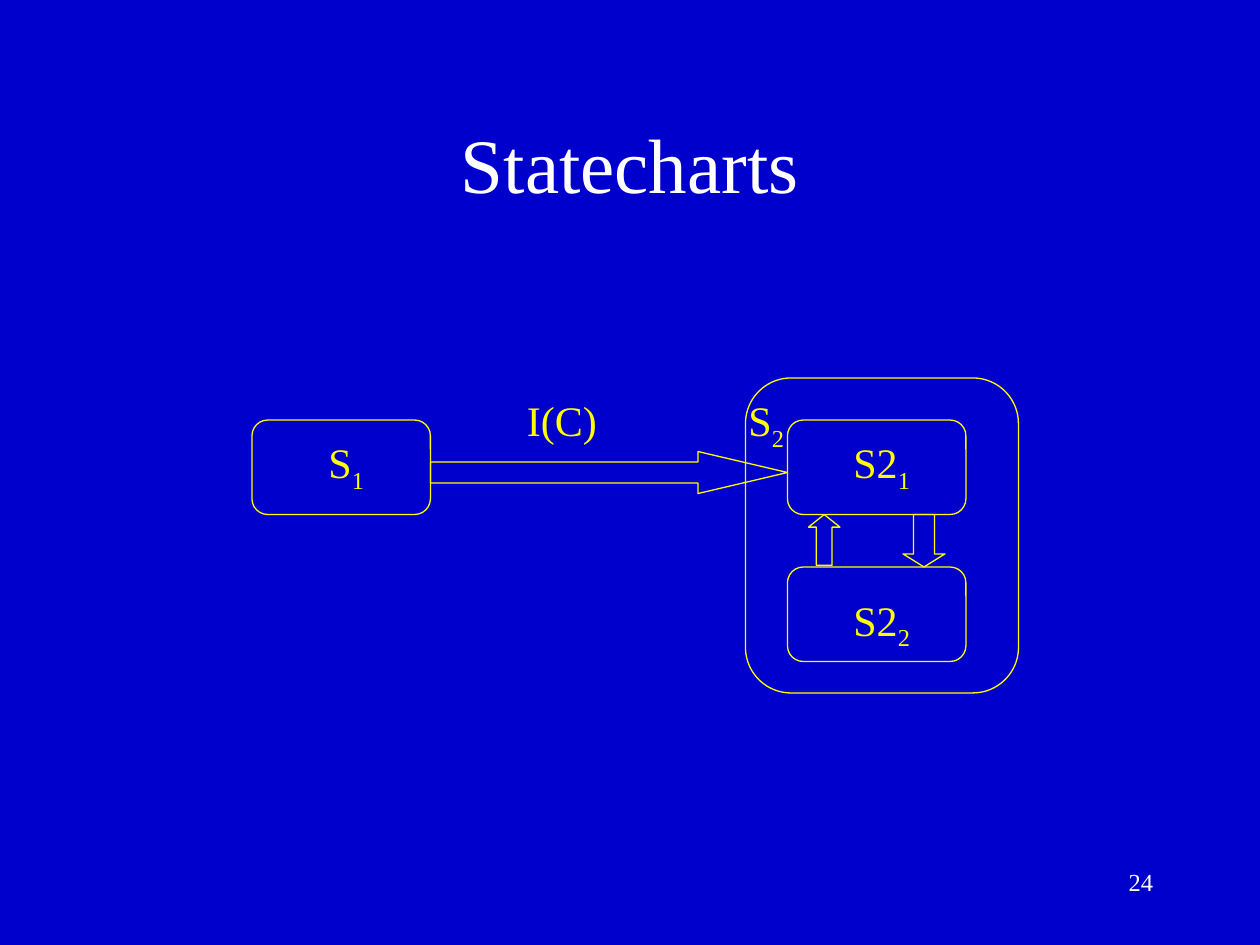
from dataclasses import dataclass

from pptx import Presentation
from pptx.dml.color import RGBColor
from pptx.enum.shapes import MSO_SHAPE
from pptx.enum.text import MSO_ANCHOR, MSO_AUTO_SIZE, PP_ALIGN
from pptx.util import Pt

ROUNDED = MSO_SHAPE.ROUNDED_RECTANGLE
RIGHT_ARROW = MSO_SHAPE.RIGHT_ARROW
UP_ARROW = MSO_SHAPE.UP_ARROW
DOWN_ARROW = MSO_SHAPE.DOWN_ARROW
TOP, MIDDLE = MSO_ANCHOR.TOP, MSO_ANCHOR.MIDDLE
LEFT, CENTER, RIGHT = PP_ALIGN.LEFT, PP_ALIGN.CENTER, PP_ALIGN.RIGHT
GROW = MSO_AUTO_SIZE.SHAPE_TO_FIT_TEXT


@dataclass(frozen=True)
class Theme:
    """Colours, font, type sizes and line width of the slide."""
    background: RGBColor = RGBColor(0x00, 0x00, 0xCC)
    text: RGBColor = RGBColor(0xFF, 0xFF, 0xFF)
    diagram: RGBColor = RGBColor(0xFF, 0xFF, 0x00)
    font: str = "Times New Roman"
    title_size: int = 44
    label_size: int = 24
    number_size: int = 14
    line_width: float = 0.75


THEME = Theme()


def style_run(run, size, color):
    """Apply the theme font with a size and a colour."""
    run.font.name = THEME.font
    run.font.size = Pt(size)
    run.font.color.rgb = color


def add_text(slide, text, bounds, size, align, anchor=TOP):
    """Add a wrapping text box in the slide's text colour."""
    text_frame = slide.shapes.add_textbox(*map(Pt, bounds)).text_frame
    text_frame.word_wrap = True
    text_frame.vertical_anchor = anchor
    text_frame.text = text
    paragraph = text_frame.paragraphs[0]
    paragraph.alignment = align
    style_run(paragraph.runs[0], size, THEME.text)


def add_label(slide, text, bounds, subscript=""):
    """Add a diagram label with an optional subscript."""
    text_frame = slide.shapes.add_textbox(*map(Pt, bounds)).text_frame
    text_frame.word_wrap = False
    text_frame.auto_size = GROW
    text_frame.text = text
    paragraph = text_frame.paragraphs[0]
    paragraph.alignment = LEFT
    if subscript:
        run = paragraph.add_run()
        run.text = subscript
        run.font._element.set("baseline", "-25000")
    for run in paragraph.runs:
        style_run(run, THEME.label_size, THEME.diagram)


def add_outline(slide, kind, bounds, *adjustments):
    """Add an unfilled preset shape with a thin outline."""
    shape = slide.shapes.add_shape(kind, *map(Pt, bounds))
    shape.shadow.inherit = False
    shape.fill.background()
    shape.line.color.rgb = THEME.diagram
    shape.line.width = Pt(THEME.line_width)
    for index, value in enumerate(adjustments):
        shape.adjustments[index] = value


def add_state(slide, left, top, width=102, height=54):
    """Add the rounded outline of a state."""
    add_outline(slide, ROUNDED, (left, top, width, height), 0.167)


def main():
    """Build the statechart slide and save it."""
    presentation = Presentation()
    presentation.slide_width, presentation.slide_height = Pt(720), Pt(540)
    slide = presentation.slides.add_slide(presentation.slide_layouts[6])
    slide.background.fill.solid()
    slide.background.fill.fore_color.rgb = THEME.background

    add_text(slide, "Statecharts", (54, 48, 612, 90), THEME.title_size, CENTER, MIDDLE)
    add_label(slide, "S2", (480.6, 246, 47, 40.5), "1")
    add_label(slide, "S", (180.6, 246, 35, 40.5), "1")
    add_outline(slide, RIGHT_ARROW, (246, 258, 204, 24), 0.5, 2.13)
    add_label(slide, "S2", (480.6, 336, 47, 40.5), "2")
    add_label(slide, "I(C)", (294, 222, 56, 36))
    add_state(slide, 426, 216, 156, 180)
    for left, top in ((144, 240), (450, 240), (450, 324)):
        add_state(slide, left, top)
    add_outline(slide, DOWN_ARROW, (516, 294, 24, 30), 0.5, 0.31)
    add_outline(slide, UP_ARROW, (462, 294, 18, 29), 0.5, 0.4)
    add_label(slide, "S", (420.6, 222, 35, 40.5), "2")
    add_text(slide, "24", (516, 492, 150, 36), THEME.number_size, RIGHT)

    presentation.save("out.pptx")


if __name__ == "__main__":
    main()
